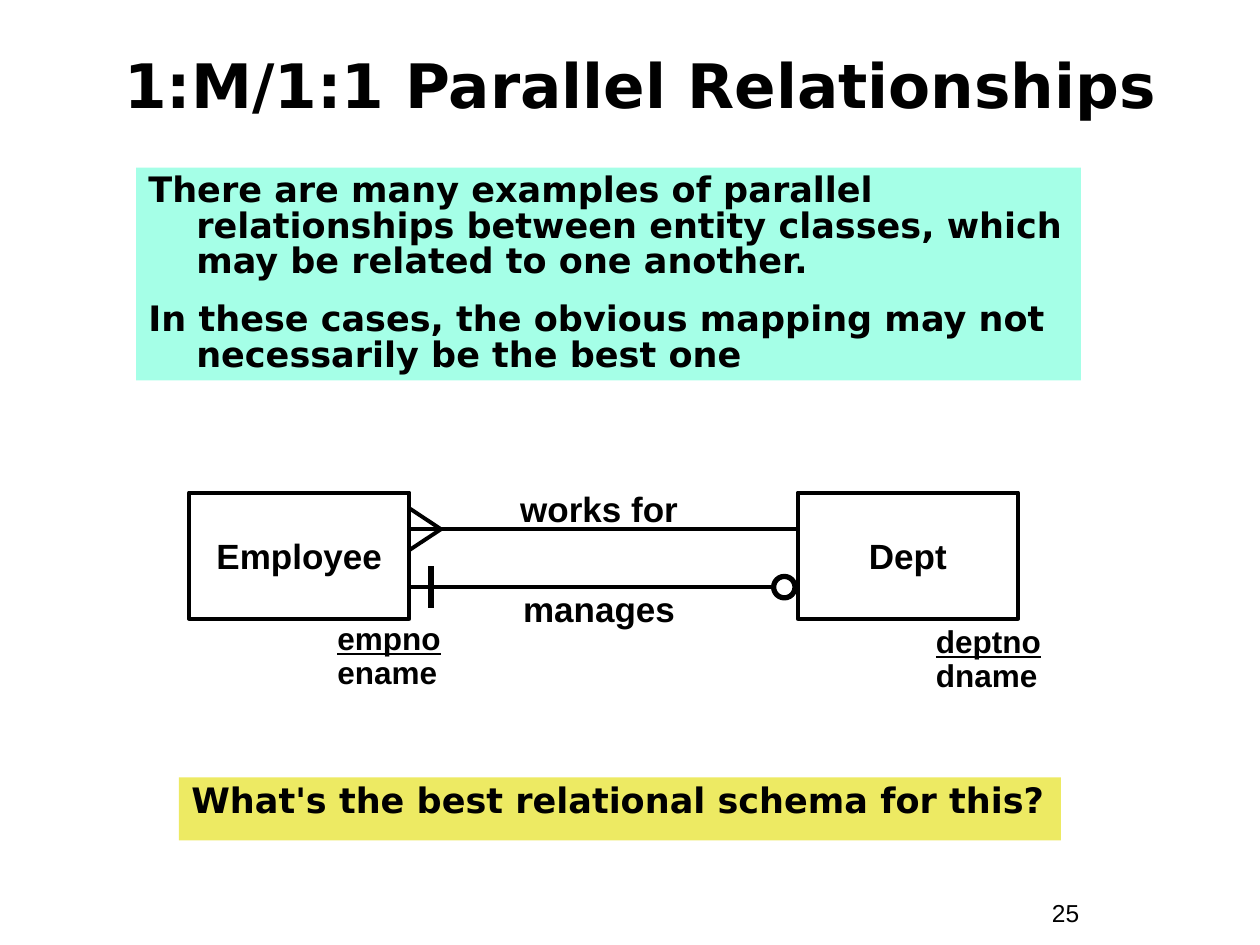
from lxml import etree
from pptx import Presentation
from pptx import util as u
from pptx.dml.color import RGBColor
from pptx.enum import shapes, text
from pptx.oxml.ns import qn

BLACK = RGBColor(0, 0, 0)
MINT = RGBColor(0xA5, 0xFF, 0xE7)
YELLOW = RGBColor(0xED, 0xEA, 0x63)
BODY_FONT, LABEL_FONT = "DejaVu Sans", "Arial"
LEFT, CENTER = text.PP_ALIGN.LEFT, text.PP_ALIGN.CENTER

# Content
TITLE = "1:M/1:1 Parallel Relationships"
PAGE_NUMBER = "25"
INTRO = [
    "There are many examples of parallel relationships between entity classes, "
    "which may be related to one another.",
    "In these cases, the obvious mapping may not necessarily be the best one",
]
QUESTION = ["What's the best relational schema for this?"]
# name, left of the box, attributes (key first), left and top of the attributes
ENTITIES = [
    ("Employee", 1.5, ["empno", "ename"], 2.58, 4.9),
    ("Dept", 6.33, ["deptno", "dname"], 7.33, 4.92),
]
# relationship name, top of its label
RELATIONSHIPS = [("works for", 3.82), ("manages", 4.61)]

# Diagram geometry, inches
ENTITY_TOP, ENTITY_WIDTH, ENTITY_HEIGHT = 3.91, 1.75, 1
LINE_START = ENTITIES[0][1] + ENTITY_WIDTH
LINE_END = ENTITIES[1][1]
WORKS_Y, MANAGES_Y = 4.2, 4.66
FOOT_LENGTH, FOOT_SPREAD = 0.25, 0.165
BAR_X, BAR_HALF = LINE_START + 0.17, 0.165
RING_SIZE, RING_LEFT = 0.17, 6.14

deck = Presentation()
deck.slide_width, deck.slide_height = u.Inches(10), u.Inches(7.5)
page = deck.slides.add_slide(deck.slide_layouts[5])


def inches(*lengths):
    return [u.Inches(length) for length in lengths]


def write(shape, lines, size, font=LABEL_FONT, bold=True, align=LEFT,
          anchor=text.MSO_ANCHOR.TOP, spacing=1.0, gap=0, hanging=0, wrap=True):
    frame = shape.text_frame
    frame.text = "\n".join(lines)
    frame.word_wrap, frame.vertical_anchor = wrap, anchor
    for index, para in enumerate(frame.paragraphs):
        para.alignment, para.line_spacing = align, spacing
        para.space_before = u.Pt(gap if index else 0)
        if hanging:
            properties = para._p.get_or_add_pPr()
            properties.set("marL", str(u.Inches(hanging)))
            properties.set("indent", str(-u.Inches(hanging)))
        for span in para.runs:
            span.font.size, span.font.name = u.Pt(size), font
            span.font.bold, span.font.color.rgb = bold, BLACK


def add_text(left, top, width, height, lines, size, **style):
    box = page.shapes.add_textbox(*inches(left, top, width, height))
    write(box, lines, size, **style)
    return box


def add_shape(kind, left, top, width, height, fill=None, line_width=None):
    shape = page.shapes.add_shape(kind, *inches(left, top, width, height))
    shape.shadow.inherit = False
    if fill is None:
        shape.fill.background()
    else:
        shape.fill.solid()
        shape.fill.fore_color.rgb = fill
    if line_width is None:
        shape.line.fill.background()
    else:
        shape.line.color.rgb, shape.line.width = BLACK, u.Pt(line_width)
    return shape


def add_line(x1, y1, x2, y2, width=2.25):
    line = page.shapes.add_connector(
        shapes.MSO_CONNECTOR.STRAIGHT, *inches(x1, y1, x2, y2))
    line.line.color.rgb, line.line.width = BLACK, u.Pt(width)
    etree.SubElement(line._element.spPr, qn("a:effectLst"))


# Title and page number
title = page.shapes.title
title.left, title.top, title.width, title.height = inches(0.42, 0.25, 9.33, 0.83)
write(title, [TITLE], 35, BODY_FONT, align=CENTER, anchor=text.MSO_ANCHOR.MIDDLE)
add_text(8.25, 7.08, 0.92, 0.34, [PAGE_NUMBER], 14, bold=False)

# Coloured panels
RECTANGLE = shapes.MSO_SHAPE.RECTANGLE
intro = add_shape(RECTANGLE, 1.08, 1.33, 7.5, 1.69, fill=MINT)
write(intro, INTRO, 20, BODY_FONT, spacing=0.85, gap=12.5, hanging=0.38)
question = add_shape(RECTANGLE, 1.42, 6.17, 7, 0.5, fill=YELLOW)
write(question, QUESTION, 20, BODY_FONT, spacing=0.9, hanging=0.38)

# Entities with their attributes, the key underlined
for name, left, attributes, list_left, list_top in ENTITIES:
    entity = add_shape(RECTANGLE, left, ENTITY_TOP, ENTITY_WIDTH, ENTITY_HEIGHT,
                       line_width=2.25)
    write(entity, [name], 20, align=CENTER, anchor=text.MSO_ANCHOR.MIDDLE, wrap=False)
    box = add_text(list_left, list_top, 1.17, 0.64, attributes, 18, spacing=0.9)
    box.text_frame.paragraphs[0].runs[0].font.underline = True

# Relationship labels
for name, top in RELATIONSHIPS:
    add_text(3.92, top, 1.67, 0.44, [name], 20, align=CENTER)

# "works for": line with a crow's foot
add_line(LINE_END, WORKS_Y, LINE_START, WORKS_Y)
for spread in (-FOOT_SPREAD, FOOT_SPREAD):
    add_line(LINE_START + FOOT_LENGTH, WORKS_Y, LINE_START, WORKS_Y + spread)

# "manages": line with a bar and a ring
add_line(RING_LEFT, MANAGES_Y, LINE_START, MANAGES_Y)
add_line(BAR_X, MANAGES_Y - BAR_HALF, BAR_X, MANAGES_Y + BAR_HALF, width=3)
add_shape(shapes.MSO_SHAPE.OVAL, RING_LEFT, MANAGES_Y - RING_SIZE / 2,
          RING_SIZE, RING_SIZE, line_width=3)

deck.save("out.pptx")
